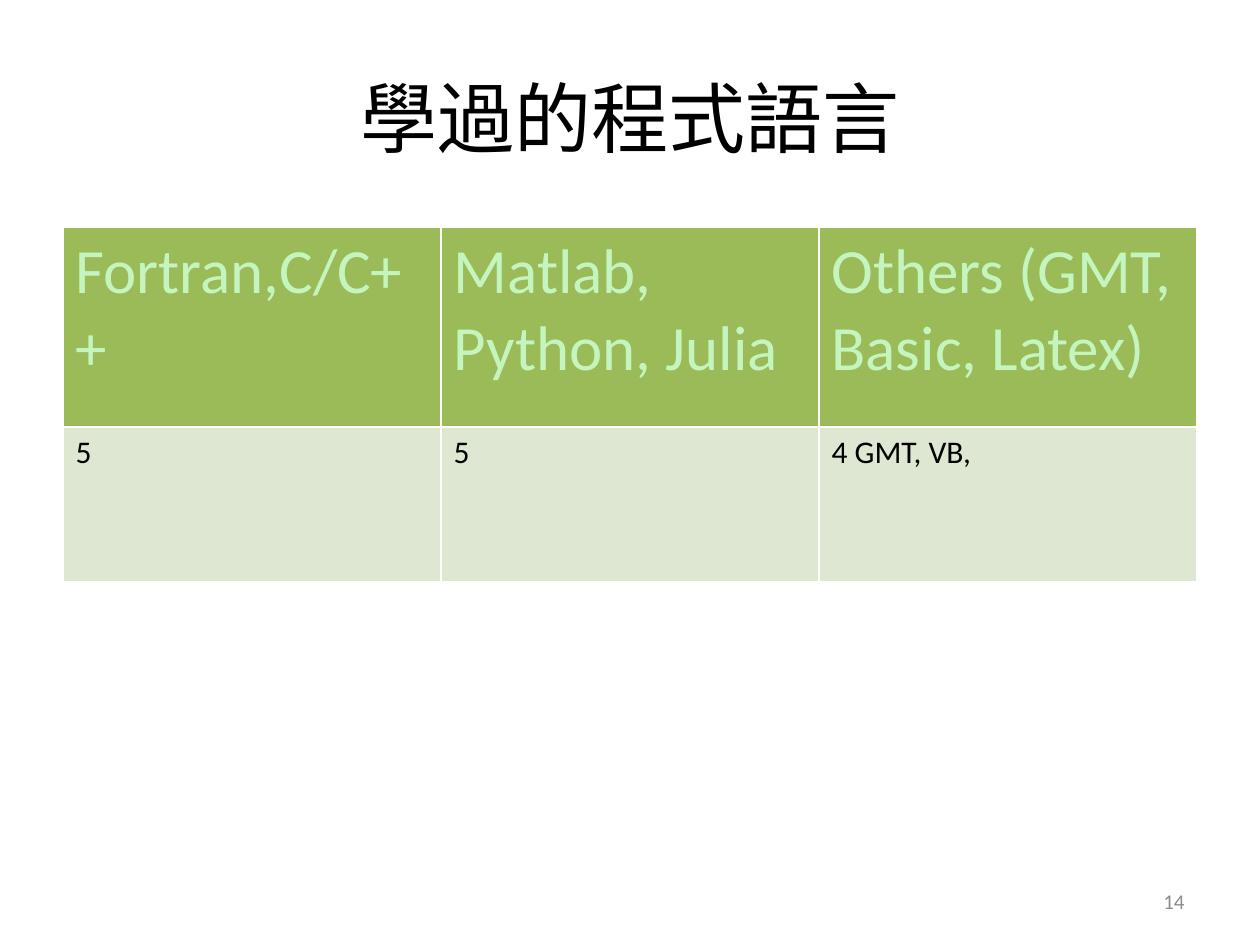
from dataclasses import dataclass

from lxml import etree
from pptx import Presentation
from pptx.dml.color import RGBColor
from pptx.enum.text import MSO_ANCHOR, PP_ALIGN
from pptx.oxml.ns import qn
from pptx.util import Pt

LEFT, MID, RIGHT = PP_ALIGN.LEFT, PP_ALIGN.CENTER, PP_ALIGN.RIGHT
CENTRE = MSO_ANCHOR.MIDDLE
EMU = 914400 / 126  # one px


def px(n):
    return round(n * EMU)


@dataclass(frozen=True)
class Theme:
    font: str = "Calibri"
    page: str = "FFFFFF"
    rule: str = "FFFFFF"
    ink: str = "000000"
    mint: str = "C4F5BE"
    head: str = "9BBB59"
    body: str = "DEE7D1"
    grey: str = "8C8C8C"
    title: int = 44
    large: int = 36
    text: int = 18
    small: int = 12


class Deck:
    def __init__(self, theme, width, height):
        self.theme = theme
        self.prs = Presentation()
        self.prs.slide_width, self.prs.slide_height = px(width), px(height)
        self.slide = self.prs.slides.add_slide(self.prs.slide_layouts[6])
        fill = self.slide.background.fill
        fill.solid()
        fill.fore_color.rgb = RGBColor.from_string(theme.page)

    def style(self, frame, text, size, color, align=LEFT):
        frame.text = text
        for para in frame.paragraphs:
            para.alignment = align
            for run in para.runs:
                font = run.font
                font.name, font.size, font.bold = self.theme.font, Pt(size), False
                font.color.rgb = RGBColor.from_string(color)

    def label(self, box, text, size, color, align):
        frame = self.slide.shapes.add_textbox(*map(px, box)).text_frame
        frame.word_wrap = True
        frame.vertical_anchor = CENTRE
        self.style(frame, text, size, color, align)

    def edge(self, cell, width):
        # Borders come before the fill in the cell properties
        props = cell._tc.get_or_add_tcPr()
        for spot, side in enumerate("LRTB"):
            line = etree.Element(qn(f"a:ln{side}"), w=str(Pt(width)))
            solid = etree.SubElement(line, qn("a:solidFill"))
            etree.SubElement(solid, qn("a:srgbClr"), val=self.theme.rule)
            props.insert(spot, line)

    def table(self, left, top, width, heights, rows, looks):
        cols = len(rows[0])
        frame = self.slide.shapes.add_table(
            len(rows), cols, px(left), px(top), px(width), px(sum(heights)))
        grid = frame.table
        grid.first_row = grid.horz_banding = False
        for col in grid.columns:
            col.width = px(width // cols)
        for r, (texts, look) in enumerate(zip(rows, looks)):
            size, color, fill = look
            grid.rows[r].height = px(heights[r])
            for c, text in enumerate(texts):
                cell = grid.cell(r, c)
                self.style(cell.text_frame, text, size, color)
                cell.fill.solid()
                cell.fill.fore_color.rgb = RGBColor.from_string(fill)
                self.edge(cell, 1)


def main():
    look = Theme()
    deck = Deck(look, 1260, 945)

    # Title
    deck.label((63, 38, 1134, 158), "學過的程式語言", look.title, look.ink, MID)

    # Languages and counts
    rows = [
        ["Fortran,C/C++", "Matlab,\vPython, Julia", "Others (GMT, Basic, Latex)"],
        ["5", "5", "4 GMT, VB,"],
    ]
    looks = [
        (look.large, look.mint, look.head),
        (look.text, look.ink, look.body),
    ]
    deck.table(63, 227, 1134, [200, 155], rows, looks)

    # Slide number
    deck.label((903, 876, 294, 50), "14", look.small, look.grey, RIGHT)

    deck.prs.save("out.pptx")


if __name__ == "__main__":
    main()
